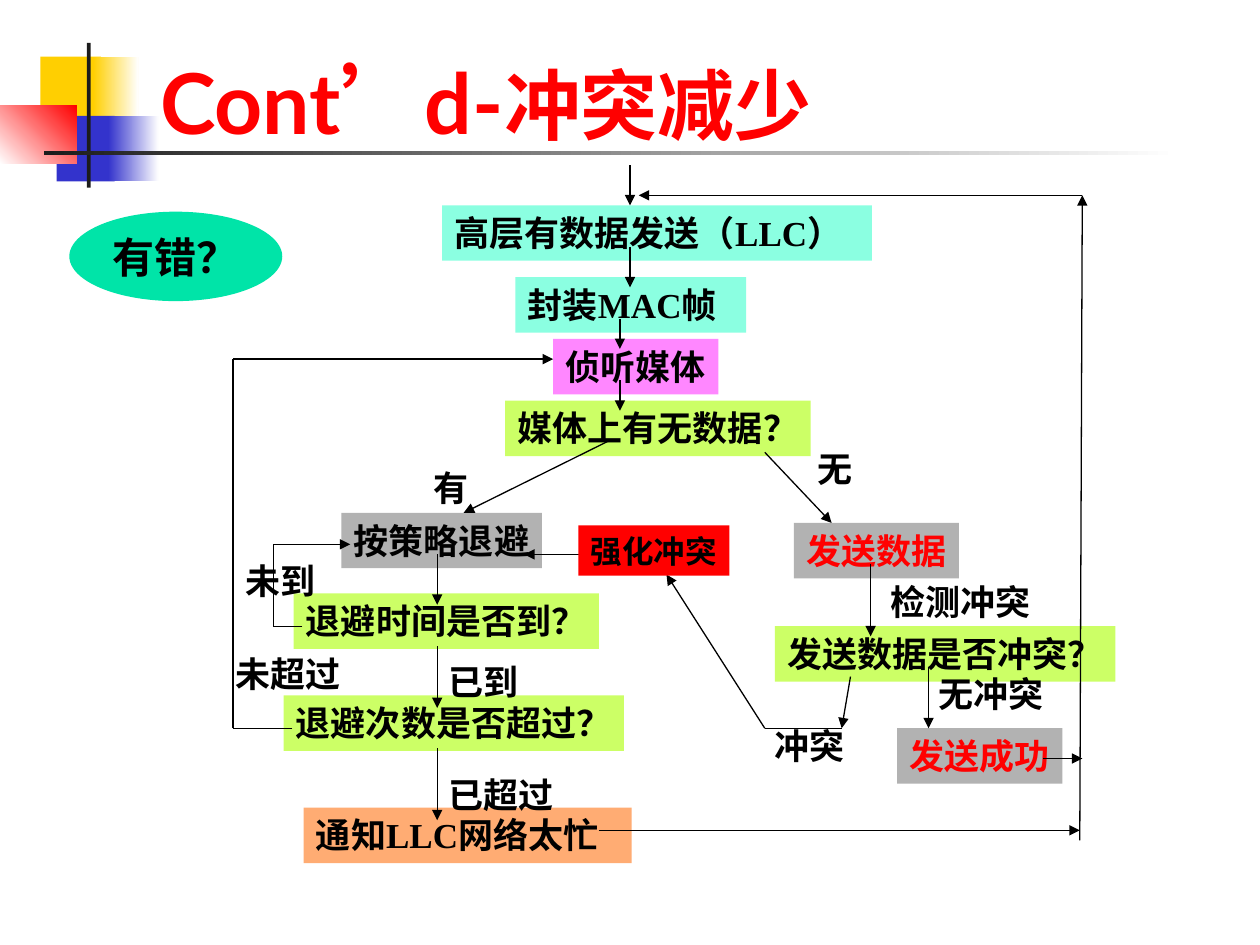
from collections import namedtuple
from itertools import pairwise

from pptx import Presentation
from pptx import util as u
from pptx.dml import color
from pptx.enum import shapes, text
from pptx.oxml import ns
from lxml import etree

CELL = 0.1  # inches; the page is a grid of 100 columns by 75 rows
NODE_HEIGHT = 4.4
CHAR_WIDTH, SIDE_INSETS = 2.78, 2
LATIN, TITLE_LATIN, CHINESE = "Times New Roman", "Lato", "Noto Sans CJK SC"
BLACK, RED, WHITE = "000000", "FF0000", "FFFFFF"
AQUA, PINK, LIME, GREY, ORANGE = "8BFFE1", "FF87FF", "CCFF66", "B2B2B2", "FFAC73"

Area = namedtuple("Area", "left top")

# text, column, row, fill, text colour, width in Chinese characters (None: count them)
STEPS = [
    ("高层有数据发送（LLC）", 18.1, 3.3, AQUA, BLACK, 11.55),
    ("封装MAC帧", 23.9, 9, AQUA, BLACK, 5.87),
    ("侦听媒体", 26.9, 13.9, PINK, BLACK, None),
    ("媒体上有无数据？", 23.1, 18.8, LIME, BLACK, None),
    ("按策略退避", 10.1, 27.7, GREY, BLACK, None),
    ("发送数据", 46, 28.5, GREY, RED, None),
    ("退避时间是否到？", 6.3, 34.1, LIME, BLACK, None),
    ("发送数据是否冲突？", 44.5, 36.7, LIME, BLACK, None),
    ("退避次数是否超过？", 5.5, 42.2, LIME, BLACK, None),
    ("通知LLC网络太忙", 7.1, 51.1, ORANGE, BLACK, 8.65),
    ("发送成功", 54.2, 44.8, GREY, RED, None),
]
BRANCH_LABELS = [
    ("有", 16.4, 23.5), ("无", 46.9, 22), ("未到", 1.5, 30.9),
    ("已到", 17.6, 38.9), ("未超过", 0.7, 38.3), ("已超过", 17.6, 47.9),
    ("检测冲突", 52.7, 32.6), ("冲突", 43.5, 44), ("无冲突", 56.5, 39.9),
]
# Each route ends in an arrowhead
ROUTES = [
    [(33, 0.1), (33, 3.3)],
    [(33, 6.6), (33, 9.8)],
    [(32.2, 12.3), (32.2, 14.7)],
    [(32.2, 17.2), (32.2, 19.6)],
    [(31.3, 22), (19.8, 27.7)],
    [(43.7, 22.9), (49, 28.5)],
    [(17.7, 31), (17.7, 35)],
    [(7, 36.7), (4.7, 36.7), (4.7, 30.2), (10.8, 30.2)],
    [(17.7, 38.3), (17.7, 43.2)],
    [(6.2, 44.8), (1.5, 44.8), (1.5, 15.5), (26.9, 15.5)],
    [(17.7, 46.4), (17.7, 52.1)],
    [(52.1, 31.8), (52.1, 37.5)],
    [(50.5, 40.7), (49.8, 44.8)],
    [(49.8, 44.8), (43.7, 44.8), (35.9, 32.6)],
    [(29.7, 31), (24.6, 31)],
    [(56.7, 39.9), (56.7, 44.8)],
    [(65.8, 47.2), (68.9, 47.2)],
    [(68.7, 53.7), (68.9, 2.5)],
    [(68.9, 2.5), (33.7, 2.5)],
    [(30.5, 52.9), (68.7, 52.9)],
]


def rgb(value):
    return color.RGBColor.from_string(value)


def point(area, column, row):
    return u.Inches((area.left + column) * CELL), u.Inches((area.top + row) * CELL)


def frame(area, column, row, width, height):
    return *point(area, column, row), u.Inches(width * CELL), u.Inches(height * CELL)


def set_font(font, size, value, latin):
    font.size, font.bold, font.name = u.Pt(size), True, latin
    font.color.rgb = rgb(value)


def set_chinese(span):
    """Name the East Asian font, which has no public method."""
    props = span._r.get_or_add_rPr()
    props.set("lang", "zh-CN")
    etree.SubElement(props, ns.qn("a:ea"), typeface=CHINESE)


def write(box, words, size=20, value=BLACK, latin=LATIN, centred=False):
    body = box.text_frame
    body.word_wrap = False
    body.auto_size = text.MSO_AUTO_SIZE.SHAPE_TO_FIT_TEXT
    para = body.paragraphs[0]
    para.alignment = text.PP_ALIGN.CENTER if centred else text.PP_ALIGN.LEFT
    span = para.add_run()
    span.text = words
    set_font(para.font, size, value, latin)
    set_chinese(span)


def add_block(page, place, fill, end=None, angle=0, kind=shapes.MSO_SHAPE.RECTANGLE):
    """Add a borderless shape; an end colour makes the fill a gradient."""
    block = page.shapes.add_shape(kind, *place)
    block.shadow.inherit = False
    block.line.fill.background()
    if end:
        block.fill.gradient()
        block.fill.gradient_angle = angle
        for stop, value in zip(block.fill.gradient_stops, (fill, end)):
            stop.color.rgb = rgb(value)
    else:
        block.fill.solid()
        block.fill.fore_color.rgb = rgb(fill)
    block.text_frame.vertical_anchor = text.MSO_ANCHOR.TOP
    return block


def add_route(page, area, stops):
    for begin, finish in pairwise(stops):
        line = page.shapes.add_connector(
            shapes.MSO_CONNECTOR.STRAIGHT, *point(area, *begin), *point(area, *finish))
        line.line.width = u.Pt(0.75)
        line.line.color.rgb = rgb(BLACK)
        etree.SubElement(line._element.spPr, ns.qn("a:effectLst"))
    etree.SubElement(line.line._get_or_add_ln(), ns.qn("a:tailEnd"), type="triangle")


def add_ornament(page, area):
    yellow, blue, dark = "FFCF01", "3333CC", "1C1C1C"
    for place, fill, end, angle in [
        ((3.2, 1.1, 4.8, 5.2), yellow, None, 0),
        ((7.4, 1.1, 3.6, 5.2), yellow, WHITE, 0),
        ((4.5, 5.8, 4.6, 5.2), blue, None, 0),
        ((8.6, 5.8, 4, 5.2), blue, WHITE, 0),
        ((0, 5, 6.1, 4.6), WHITE, RED, 45),
        ((6.9, 0, 0.3, 11.5), dark, None, 0),
        ((3.5, 8.6, 90, 0.3), dark, WHITE, 0),
    ]:
        add_block(page, frame(area, *place), fill, end, angle)


def add_title(page, area):
    title = page.shapes.title
    title.left, title.top, title.width, title.height = frame(area, 0, 0, 85.2, 10)
    title.text_frame.vertical_anchor = text.MSO_ANCHOR.BOTTOM
    para = title.text_frame.paragraphs[0]
    para.alignment = text.PP_ALIGN.LEFT
    for words, size, latin in [("Cont", 48, TITLE_LATIN), ("’", 48, LATIN),
                               ("d-", 48, TITLE_LATIN), ("冲突减少", 44, TITLE_LATIN)]:
        span = para.add_run()
        span.text = words
        set_font(span.font, size, RED, latin)
        set_chinese(span)


def add_flowchart(page, area):
    for words, column, row, fill, value, length in STEPS:
        width = SIDE_INSETS + CHAR_WIDTH * (length or len(words))
        step = add_block(page, frame(area, column, row, width, NODE_HEIGHT), fill)
        write(step, words, value=value)
    for stops in ROUTES:
        add_route(page, area, stops)
    for words, column, row in BRANCH_LABELS:
        width = SIDE_INSETS + CHAR_WIDTH * len(words)
        label = page.shapes.add_textbox(*frame(area, column, row, width, NODE_HEIGHT))
        write(label, words)
    jam = add_block(page, frame(area, 28.9, 28.7, 12, 4), RED)
    write(jam, "强化冲突", 18, latin=CHINESE, centred=True)


def add_question(page, area):
    oval = add_block(page, frame(area, 0, 0, 16.9, 7.1), "00E4A8", kind=shapes.MSO_SHAPE.OVAL)
    body = oval.text_frame
    body.vertical_anchor = text.MSO_ANCHOR.MIDDLE
    body.margin_left = body.margin_right = u.Inches(0.05)
    write(oval, "有错？", 24, latin=CHINESE, centred=True)


def main():
    deck = Presentation()
    deck.slide_width, deck.slide_height = u.Inches(10), u.Inches(7.5)
    page = deck.slides.add_slide(deck.slide_layouts[5])
    add_ornament(page, Area(0, 3.4))
    add_title(page, Area(11.7, 2.5))
    add_flowchart(page, Area(17, 13))
    add_question(page, Area(5.5, 16.8))
    deck.save("out.pptx")


if __name__ == "__main__":
    main()
